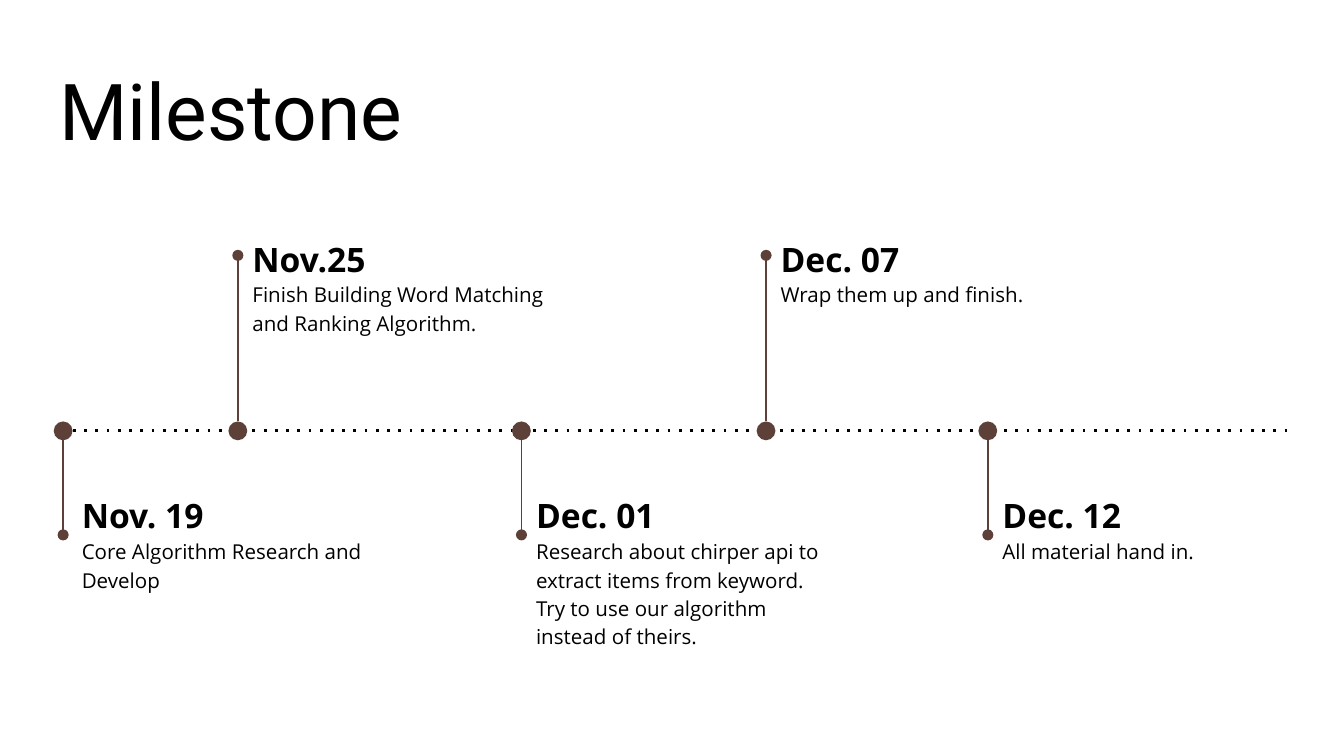
"""Build the project milestone timeline slide."""
from dataclasses import dataclass

from lxml.etree import SubElement
from pptx import Presentation
from pptx.dml.color import RGBColor
from pptx.enum.shapes import MSO_CONNECTOR, MSO_SHAPE
from pptx.enum.text import MSO_ANCHOR, MSO_AUTO_SIZE, PP_ALIGN
from pptx.oxml.ns import qn
from pptx.util import Inches, Pt


@dataclass(frozen=True)
class Theme:
    ink: RGBColor = RGBColor(0x00, 0x00, 0x00)
    brown: RGBColor = RGBColor(0x5D, 0x40, 0x37)
    head: str = "Roboto"
    body: str = "Open Sans"
    title: float = 42
    date: float = 18
    note: float = 11
    axis: float = 1.5
    stem: float = 0.75


theme = Theme()


def write(frame, lines, font, anchor=MSO_ANCHOR.TOP, space=1.0):
    frame.word_wrap = True
    frame.auto_size = MSO_AUTO_SIZE.NONE
    frame.vertical_anchor = anchor
    frame.margin_left = frame.margin_right = Inches(0.1)
    frame.margin_top = frame.margin_bottom = Inches(0.1)
    for i, (text, size, bold) in enumerate(lines):
        para = frame.paragraphs[0] if i == 0 else frame.add_paragraph()
        para.alignment = PP_ALIGN.LEFT
        para.line_spacing = space
        run = para.add_run()
        run.text = text
        run.font.name = font
        run.font.size = Pt(size)
        run.font.bold = bold
        run.font.color.rgb = theme.ink


def draw(start, end, color, width, tag, kind):
    line = slide.shapes.add_connector(
        MSO_CONNECTOR.STRAIGHT, *map(Inches, start + end))
    line.line.color.rgb = color
    line.line.width = Pt(width)
    props = line._element.spPr
    SubElement(props.find(qn("a:ln")), qn(tag)).set(*kind)
    SubElement(props, qn("a:effectLst"))


deck = Presentation()
wide = 10
tall = wide * 9 / 16
deck.slide_width, deck.slide_height = Inches(wide), Inches(tall)
slide = deck.slides.add_slide(deck.slide_layouts[5])

title = slide.shapes.title
title.left, title.top = Inches(0.34), Inches(0.35)
title.width, title.height = Inches(9.32), Inches(0.91)
write(title.text_frame, [("Milestone", theme.title, False)], theme.head,
      anchor=MSO_ANCHOR.BOTTOM)

axis, dot = tall * 0.57, 0.14
draw((0.46, axis), (9.58, axis), theme.ink, theme.axis,
     "a:prstDash", ("val", "dot"))

steps = [
    (0.47, 0.51, "Nov. 19", ["Core Algorithm Research and Develop"]),
    (1.77, 1.78, "Nov.25",
     ["Finish Building Word Matching and Ranking Algorithm."]),
    (3.88, 3.89, "Dec. 01",
     ["Research about chirper api to extract items from keyword.",
      "Try to use our algorithm instead of theirs."]),
    (5.7, 5.71, "Dec. 07", ["Wrap them up and finish."]),
    (7.35, 7.36, "Dec. 12", ["All material hand in."]),
]

for i, (x, left, date, notes) in enumerate(steps):
    above = i % 2 == 1
    side = -1 if above else 1
    tip, top, high = (1.9, 1.63, 1.2) if above else (3.98, 3.54, 1.32)
    mark = slide.shapes.add_shape(
        MSO_SHAPE.OVAL, Inches(x - dot / 2), Inches(axis - dot / 2),
        Inches(dot), Inches(dot))
    mark.shadow.inherit = False
    mark.fill.solid()
    mark.fill.fore_color.rgb = theme.brown
    mark.line.fill.background()
    draw((x, axis + side * dot / 2), (x, tip), theme.brown, theme.stem,
         "a:tailEnd", ("type", "oval"))
    box = slide.shapes.add_textbox(
        Inches(left), Inches(top), Inches(2.38), Inches(high))
    lines = [(date, theme.date, True)]
    lines += [(note, theme.note, False) for note in notes]
    write(box.text_frame, lines, theme.body, space=1.15)

deck.save("out.pptx")
